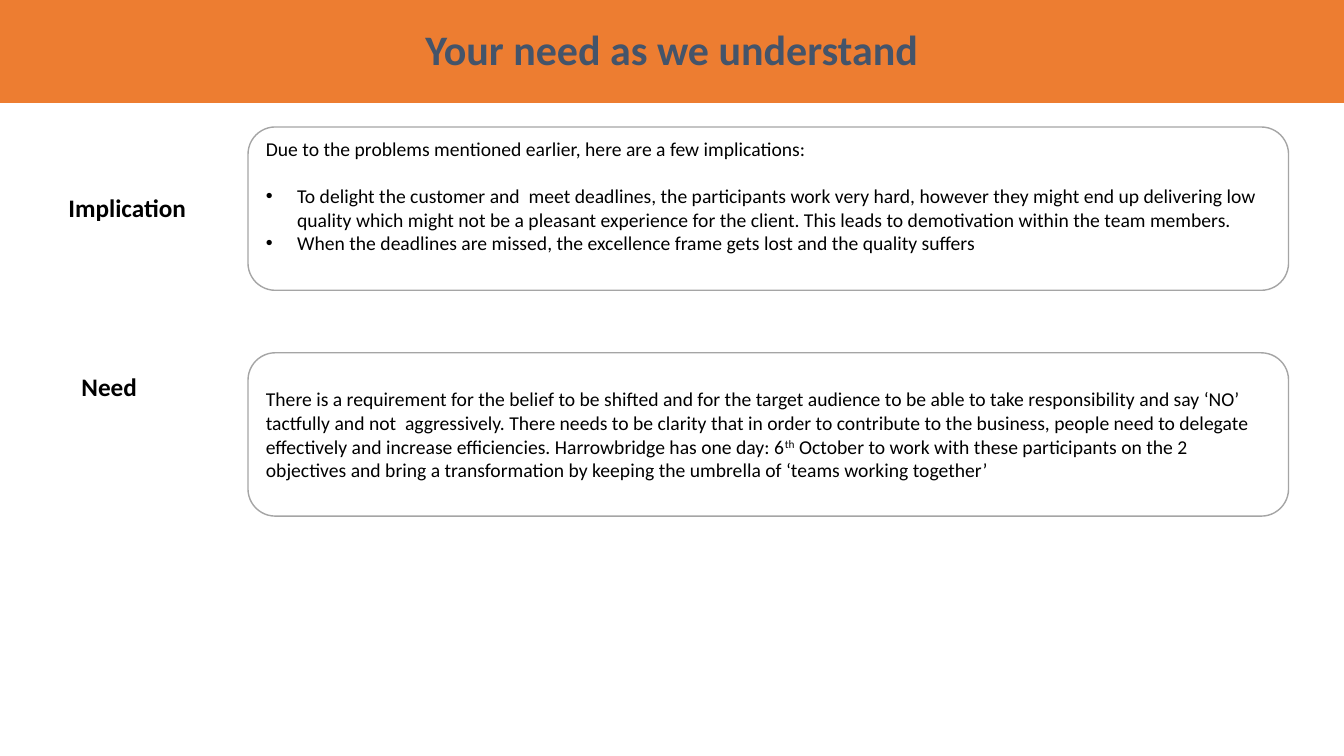
import pptx
import pptx.util
import pptx.dml.color
import pptx.enum.shapes
import pptx.enum.text
import lxml.etree
from dataclasses import dataclass

Inches, Pt = pptx.util.Inches, pptx.util.Pt
RGB = pptx.dml.color.RGBColor.from_string
SHAPE = pptx.enum.shapes.MSO_SHAPE
ANCHOR = pptx.enum.text.MSO_ANCHOR
ALIGN = pptx.enum.text.PP_ALIGN


@dataclass(frozen=True)
class Theme:
    font: str = "Calibri"
    banner: str = "ED7D31"
    title: str = "44546A"
    text: str = "000000"
    card: str = "FFFFFF"
    border: str = "A5A5A5"
    title_size: int = 30
    label_size: int = 18
    body_size: int = 14


class SlideBuilder:
    def __init__(self, slide, theme):
        self.s = slide
        self.theme = theme

    def style(self, p, size, color, bold=False):
        p.font.name = self.theme.font
        p.font.size = Pt(size)
        p.font.color.rgb = RGB(color)
        p.font.bold = bold

    def panel(self, kind, x, y, w, h, fill, border=None):
        sp = self.s.shapes.add_shape(kind, Inches(x), Inches(y), Inches(w), Inches(h))
        sp.shadow.inherit = False
        sp.fill.solid()
        sp.fill.fore_color.rgb = RGB(fill)
        if border:
            sp.line.color.rgb = RGB(border)
            sp.line.width = Pt(1)
        else:
            sp.line.fill.background()
        sp.text_frame.word_wrap = True
        sp.text_frame.vertical_anchor = ANCHOR.MIDDLE
        return sp.text_frame

    def banner(self, text, width, height):
        t = self.theme
        tf = self.panel(SHAPE.RECTANGLE, 0, 0, width, height, t.banner)
        p = tf.paragraphs[0]
        p.text = text
        p.alignment = ALIGN.CENTER
        p.line_spacing = 0.9
        self.style(p, t.title_size, t.title, bold=True)

    def label(self, text, x, y):
        tb = self.s.shapes.add_textbox(Inches(x), Inches(y), Inches(1.42), Inches(0.4))
        tf = tb.text_frame
        tf.word_wrap = True
        p = tf.paragraphs[0]
        p.text = text
        self.style(p, self.theme.label_size, self.theme.text, bold=True)

    def card(self, y):
        t = self.theme
        return self.panel(SHAPE.ROUNDED_RECTANGLE, 2.46, y, 10.32, 1.62, t.card, t.border)

    def paragraph(self, tf, *runs, bullet=False):
        """Add a body paragraph; a run is (text, superscript)."""
        p = tf.paragraphs[0]
        if p.runs:
            p = tf.add_paragraph()
        p.alignment = ALIGN.LEFT
        self.style(p, self.theme.body_size, self.theme.text)
        for text, superscript in runs:
            r = p.add_run()
            r.text = text
            if superscript:
                r._r.get_or_add_rPr().set("baseline", "30000")
        if bullet:
            self.bullet(p)
        return p

    def bullet(self, p):
        pPr = p._p.get_or_add_pPr()
        indent = Inches(0.31)
        pPr.set("marL", str(indent))
        pPr.set("indent", str(-indent))
        ns = pptx.oxml.ns.qn
        bu_font = lxml.etree.Element(ns("a:buFont"), typeface="Arial")
        bu_char = lxml.etree.Element(ns("a:buChar"), char="•")
        # Bullet elements come before the default run properties
        defaults = pPr.find(ns("a:defRPr"))
        defaults.addprevious(bu_font)
        defaults.addprevious(bu_char)


def main():
    prs = pptx.Presentation()
    prs.slide_width, prs.slide_height = Inches(13.33), Inches(7.5)
    b = SlideBuilder(prs.slides.add_slide(prs.slide_layouts[6]), Theme())

    # Title banner
    b.banner("Your need as we understand", 13.33, 1.02)

    # Implication
    tf = b.card(1.26)
    tf.vertical_anchor = ANCHOR.TOP
    tf.margin_top = Inches(0.02)
    intro = b.paragraph(tf, ("Due to the problems mentioned earlier, here are a few implications:", False))
    intro.space_after = Pt(17)
    for text in (
        "To delight the customer and  meet deadlines, the participants work very hard, "
        "however they might end up delivering low quality which might not be a pleasant "
        "experience for the client. This leads to demotivation within the team members.",
        "When the deadlines are missed, the excellence frame gets lost and the quality suffers",
    ):
        b.paragraph(tf, (text, False), bullet=True)

    # Need
    b.paragraph(
        b.card(3.5),
        ("There is a requirement for the belief to be shifted and for the target audience "
         "to be able to take responsibility and say ‘NO’ tactfully and not  aggressively. "
         "There needs to be clarity that in order to contribute to the business, people "
         "need to delegate effectively and increase efficiencies. Harrowbridge has one "
         "day: 6", False),
        ("th", True),
        (" October to work with these participants on the 2 objectives and bring a "
         "transformation by keeping the umbrella of ‘teams working together’", False),
    )

    # Row labels
    b.label("Implication", 0.58, 1.86)
    b.label("Need", 0.71, 3.63)

    prs.save("out.pptx")


if __name__ == "__main__":
    main()
